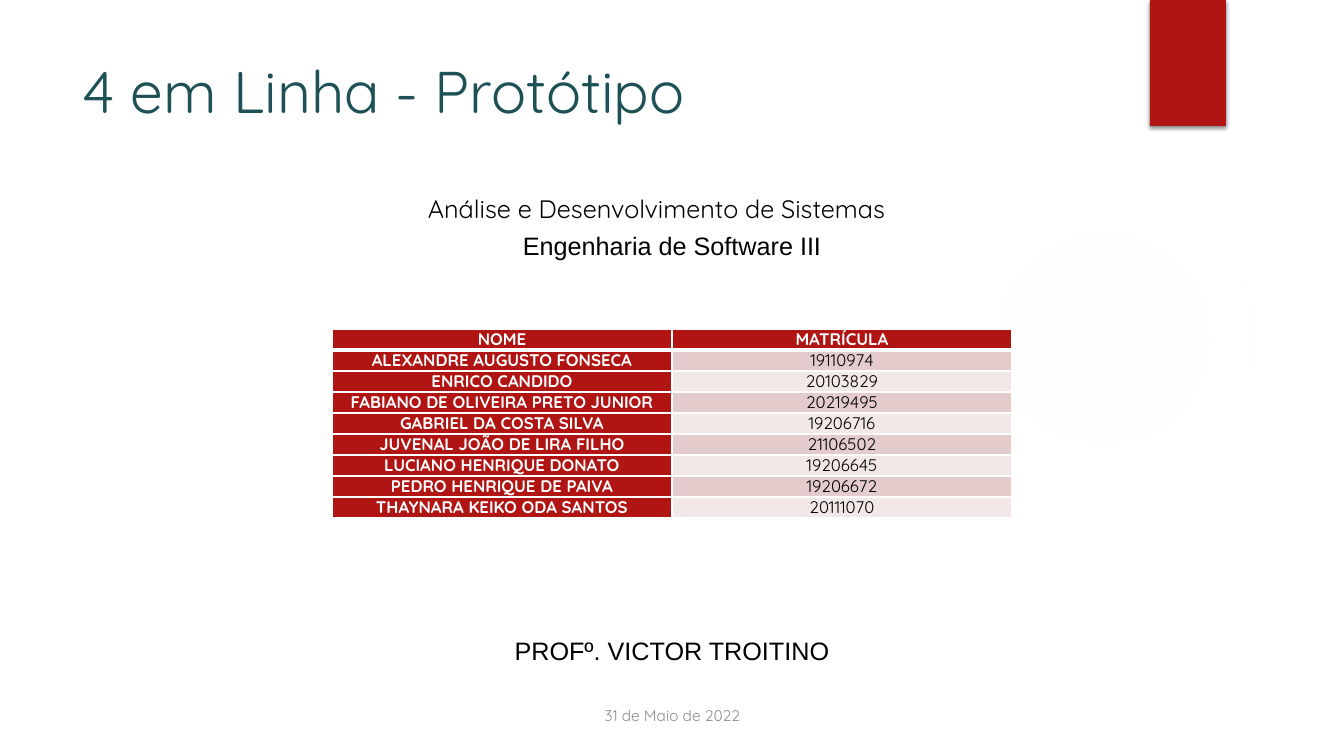
from lxml.etree import SubElement
from pptx import Presentation
from pptx.dml.color import RGBColor
from pptx.enum.shapes import MSO_SHAPE
from pptx.enum.text import MSO_ANCHOR, MSO_AUTO_SIZE, PP_ALIGN
from pptx.oxml import parse_xml
from pptx.oxml.ns import nsdecls, qn
from pptx.util import Emu, Pt

EMU_PER_PX = 914400 / 100.8
HEADING_FONT, BODY_FONT = "Quicksand", "Arial"
COLORS = {
    "red": "B01513", "teal": "1E5155", "black": "000000", "white": "FFFFFF",
    "grey": "404040", "glow": "F3F3F3", "band_dark": "E4CCCC", "band_light": "F2E8E7",
}
STUDENTS = [
    ("ALEXANDRE AUGUSTO FONSECA", "19110974"),
    ("ENRICO CANDIDO", "20103829"),
    ("FABIANO DE OLIVEIRA PRETO JUNIOR", "20219495"),
    ("GABRIEL DA COSTA SILVA", "19206716"),
    ("JUVENAL JOÃO DE LIRA FILHO", "21106502"),
    ("LUCIANO HENRIQUE DONATO", "19206645"),
    ("PEDRO HENRIQUE DE PAIVA", "19206672"),
    ("THAYNARA KEIKO ODA SANTOS", "20111070"),
]


def px(length):
    return Emu(round(length * EMU_PER_PX))


def rgb(name):
    return RGBColor.from_string(COLORS[name])


def write(text_frame, text, size, font, color, align=PP_ALIGN.CENTER, bold=False):
    paragraph = text_frame.paragraphs[0]
    paragraph.alignment = align
    run = paragraph.add_run()
    run.text = text
    run.font.size = Pt(size)
    run.font.name = font
    run.font.bold = bold
    run.font.color.rgb = rgb(color)
    return run


def add_label(slide, box, text, size, font, color, **options):
    shape = slide.shapes.add_textbox(*map(px, box))
    shape.text_frame.word_wrap = True
    shape.text_frame.vertical_anchor = MSO_ANCHOR.MIDDLE
    return write(shape.text_frame, text, size, font, color, **options)


def add_block(slide, preset, box, color):
    shape = slide.shapes.add_shape(preset, *map(px, box))
    shape.shadow.inherit = False
    shape.fill.solid()
    shape.fill.fore_color.rgb = rgb(color)
    shape.line.fill.background()
    return shape


def add_glow(slide, box):
    shape = add_block(slide, MSO_SHAPE.OVAL, box, "glow")
    stops = "".join(
        f'<a:gs pos="{position}000"><a:srgbClr val="{COLORS["glow"]}">'
        f'<a:alpha val="{opacity}000"/></a:srgbClr></a:gs>'
        for position, opacity in ((0, 7), (36, 6), (69, 0))
    )
    gradient = parse_xml(
        f'<a:gradFill {nsdecls("a")}><a:gsLst>{stops}</a:gsLst><a:path path="circle">'
        '<a:fillToRect l="50000" t="50000" r="50000" b="50000"/></a:path></a:gradFill>'
    )
    properties = shape.element.spPr
    properties.replace(properties.find(qn("a:solidFill")), gradient)


def add_ribbon(slide, box):
    shape = add_block(slide, MSO_SHAPE.RECTANGLE, box, "red")
    effects = shape.element.spPr.find(qn("a:effectLst"))
    shadow = SubElement(effects, qn("a:outerShdw"), blurRad=str(Pt(3)),
                        dist=str(Pt(2)), dir="5400000", rotWithShape="0")
    color = SubElement(shadow, qn("a:srgbClr"), val=COLORS["black"])
    SubElement(color, qn("a:alpha"), val="45000")


def add_border(cell, side, width):
    line = SubElement(cell._tc.get_or_add_tcPr(), qn(f"a:ln{side}"), w=str(Pt(width)))
    fill = SubElement(line, qn("a:solidFill"))
    SubElement(fill, qn("a:srgbClr"), val=COLORS["white"])


def format_cell(cell, text, fill, color, bold, widths):
    cell.margin_left = cell.margin_right = px(7)
    cell.margin_top = cell.margin_bottom = 0
    for side, width in zip("LRTB", widths):
        add_border(cell, side, width)
    cell.fill.solid()
    cell.fill.fore_color.rgb = rgb(fill)
    write(cell.text_frame, text, 12, HEADING_FONT, color, bold=bold)


def add_student_table(slide, box):
    rows = [("NOME", "MATRÍCULA"), *STUDENTS]
    table = slide.shapes.add_table(len(rows), 2, *map(px, box)).table
    for row_index, row in enumerate(rows):
        # Rule under the header is thicker than the grid
        top = 3 if row_index == 1 else 1
        bottom = 3 if row_index == 0 else 1
        band = "band_dark" if row_index % 2 else "band_light"
        for column_index, text in enumerate(row):
            heading = row_index == 0 or column_index == 0
            format_cell(
                table.cell(row_index, column_index), text,
                "red" if heading else band, "white" if heading else "black",
                heading, (1, 1, top, bottom),
            )


def set_title(slide, box, text):
    title = slide.shapes.title
    title.left, title.top, title.width, title.height = map(px, box)
    title.text_frame.auto_size = MSO_AUTO_SIZE.NONE
    title.text_frame.vertical_anchor = MSO_ANCHOR.TOP
    write(title.text_frame, text, 42, HEADING_FONT, "teal", align=PP_ALIGN.LEFT)


def main():
    presentation = Presentation()
    presentation.slide_width, presentation.slide_height = px(1344), px(756)
    slide = presentation.slides.add_slide(presentation.slide_layouts[5])

    # Decoration
    add_glow(slide, (949, 184, 310, 310))
    add_ribbon(slide, (1150, 0, 76, 126))

    # Title and course
    set_title(slide, (72, 50, 1037, 78), "4 em Linha - Protótipo")
    add_label(slide, (418, 188, 507, 40), "Análise e Desenvolvimento de Sistemas",
              18, HEADING_FONT, "black", align=PP_ALIGN.LEFT)
    add_label(slide, (502, 225, 340, 40), "Engenharia de Software III",
              18, BODY_FONT, "black")

    # Students
    add_student_table(slide, (332, 329, 680, 189))

    # Teacher and date
    add_label(slide, (492, 630, 360, 40), "PROFº. VICTOR TROITINO",
              18, BODY_FONT, "black")
    date = add_label(slide, (582, 699, 181, 33), "31 de Maio de 2022",
                     11, HEADING_FONT, "grey")
    date_color = date._r.rPr.find(qn("a:solidFill")).find(qn("a:srgbClr"))
    SubElement(date_color, qn("a:alpha"), val="60000")

    presentation.save("out.pptx")


if __name__ == "__main__":
    main()
